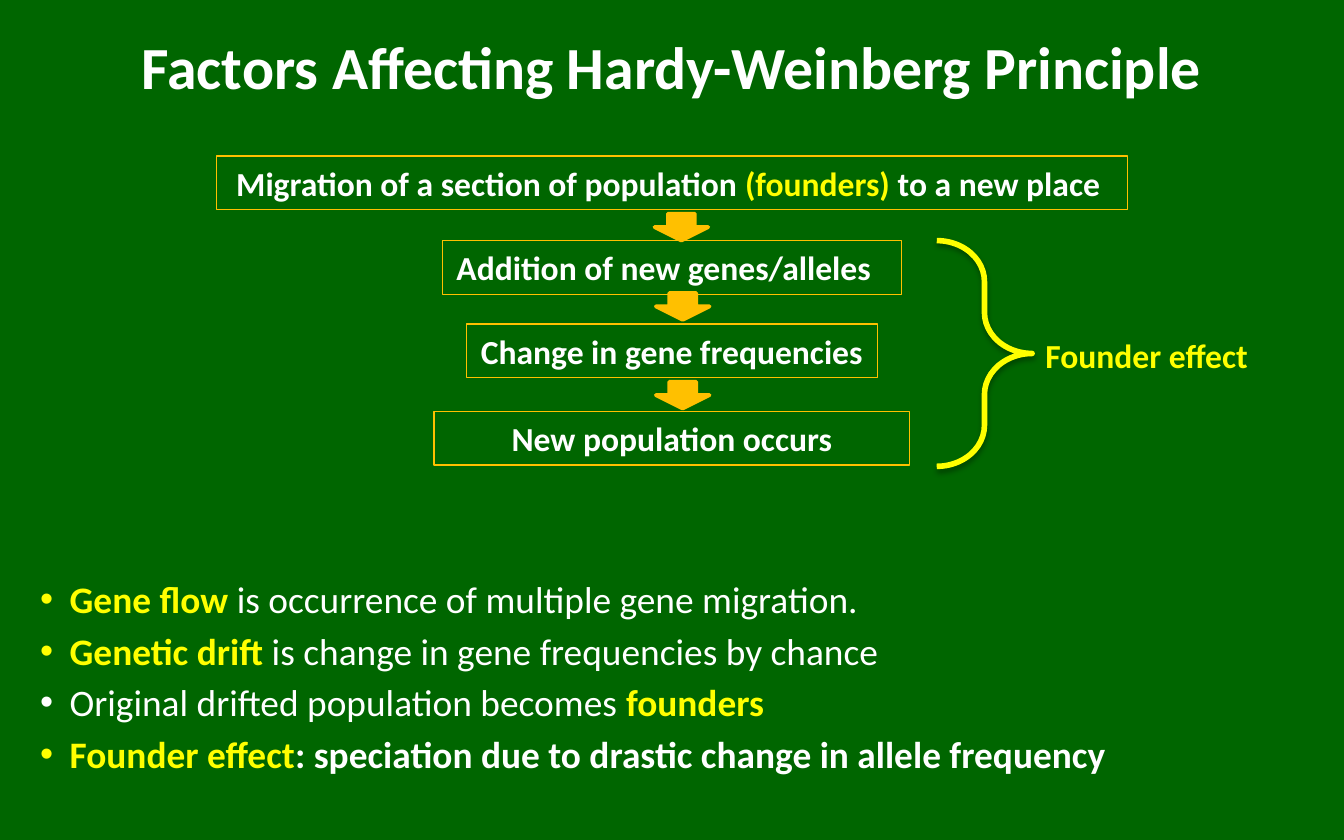
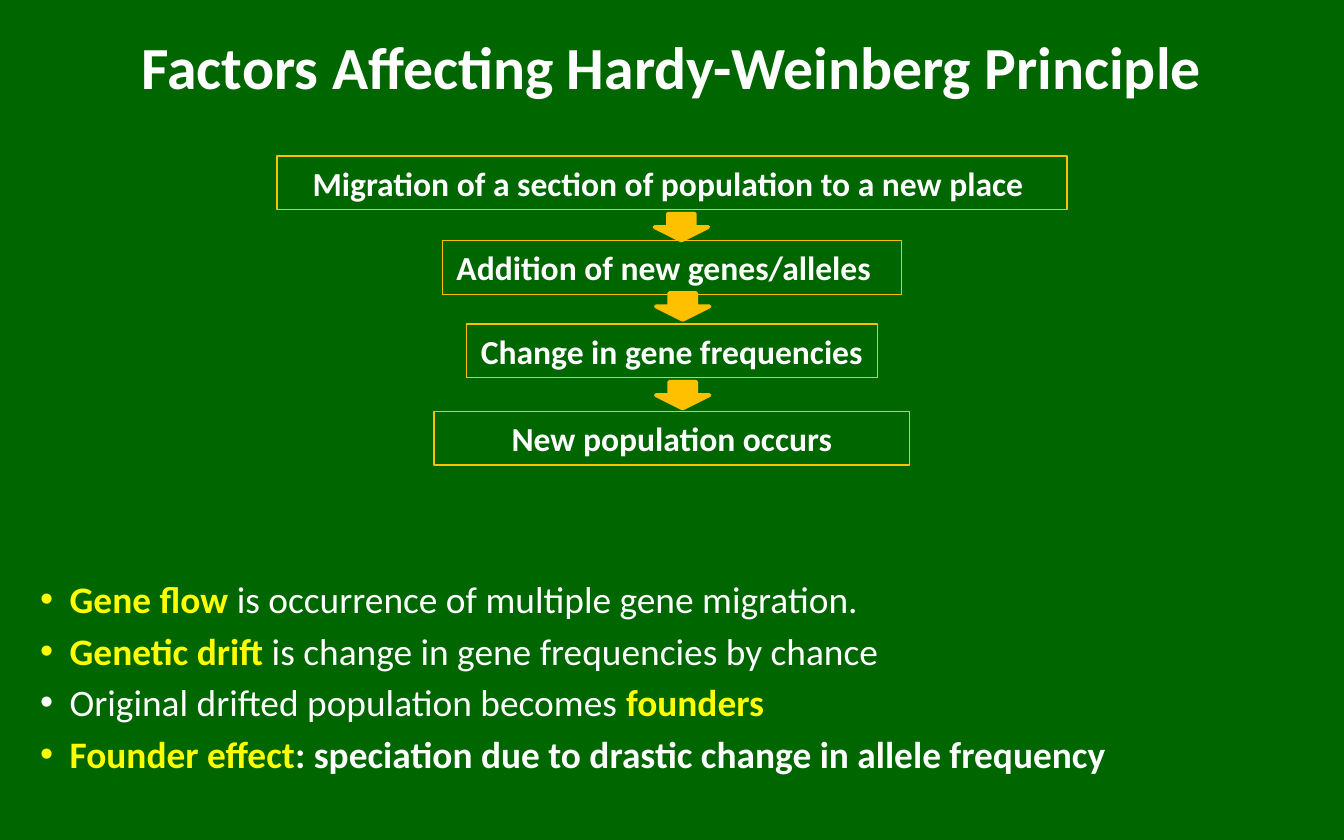
from lxml.etree import SubElement
from pptx import Presentation
from pptx.dml.color import RGBColor
from pptx.enum.shapes import MSO_SHAPE
from pptx.enum.text import MSO_ANCHOR, PP_ALIGN
from pptx.oxml import parse_xml
from pptx.oxml.ns import nsdecls, qn
from pptx.util import Emu, Pt

PX = 9144
WIDTH, HEIGHT = 1000, 625
FONT = "Calibri"
GREEN, WHITE, YELLOW, AMBER = "006600", "FFFFFF", "FFFF00", "FFC000"
BOX_H = 40
ARROW_W, ARROW_H = 40, 20

TITLE = "Factors Affecting Hardy-Weinberg Principle"
MIGRATION_WITH_FOUNDERS = [
    ("Migration of a section of population ", WHITE, True),
    ("(founders)", YELLOW, True),
    (" to a new place ", WHITE, True),
]
MIGRATION = [("Migration of a section of population to a new place ", WHITE, True)]
STEPS = [
    ("Addition of new genes/alleles", 179, 342, 22),
    ("Change in gene frequencies", 241, 306, 10),
    ("New population occurs", 306, 354, 10),
]
ARROWS = [(487, 159), (488, 218), (488, 284)]
BULLETS = [
    [("Gene flow ", YELLOW, True),
     ("is occurrence of multiple gene migration.", WHITE, False)],
    [("Genetic drift", YELLOW, True),
     (" is change in gene frequencies by chance", WHITE, False)],
    [("Original drifted population becomes ", WHITE, False),
     ("founders", YELLOW, True)],
    [("Founder effect", YELLOW, True),
     (": speciation due to drastic change in allele frequency", WHITE, True)],
]


def px(n):
    return Emu(n * PX)


def rgb(value):
    return RGBColor.from_string(value)


class Deck:
    def __init__(self):
        self.prs = Presentation()
        self.prs.slide_width, self.prs.slide_height = px(WIDTH), px(HEIGHT)
        fill = self.prs.slide_master.background.fill
        fill.solid()
        fill.fore_color.rgb = rgb(GREEN)
        self.s = None

    def add_slide(self, title):
        self.s = self.prs.slides.add_slide(self.prs.slide_layouts[5])
        sp = self.s.shapes.title
        sp.left, sp.top, sp.width, sp.height = px(0), px(29), px(WIDTH), px(40)
        sp.text_frame.vertical_anchor = MSO_ANCHOR.MIDDLE
        p = sp.text_frame.paragraphs[0]
        p.alignment = PP_ALIGN.CENTER
        self.add_runs(p, [(title, WHITE, True)], 32)

    def add_runs(self, p, runs, size):
        for text, color, bold in runs:
            r = p.add_run()
            r.text = text
            r.font.name, r.font.size, r.font.bold = FONT, Pt(size), bold
            r.font.color.rgb = rgb(color)

    def shape(self, kind, x, y, w, h, line, weight, fill=None):
        sp = self.s.shapes.add_shape(kind, px(x), px(y), px(w), px(h))
        sp.shadow.inherit = False
        if fill:
            sp.fill.solid()
            sp.fill.fore_color.rgb = rgb(fill)
        else:
            sp.fill.background()
        sp.line.color.rgb = rgb(line)
        sp.line.width = Pt(weight)
        return sp

    def box(self, runs, y, w, margin_right=10):
        sp = self.shape(MSO_SHAPE.RECTANGLE, (WIDTH - w) // 2, y, w, BOX_H, AMBER, 0.75)
        tf = sp.text_frame
        tf.word_wrap = False
        tf.margin_right = px(margin_right)
        p = tf.paragraphs[0]
        p.alignment = PP_ALIGN.CENTER
        self.add_runs(p, runs, 18)

    def arrow(self, x, y):
        self.shape(MSO_SHAPE.DOWN_ARROW, x, y, ARROW_W, ARROW_H, AMBER, 2, AMBER)

    def brace(self, x, y, w, h):
        sp = self.shape(MSO_SHAPE.RIGHT_BRACE, x, y, w, h, YELLOW, 3)
        sp.adjustments[0] = 0.43
        sp.adjustments[1] = 0.5
        effects = sp._element.spPr.find(qn("a:effectLst"))
        effects.append(parse_xml(
            f'<a:outerShdw {nsdecls("a")} blurRad="{Pt(3.1)}" dist="{Pt(1.8)}" '
            'dir="5400000" rotWithShape="0"><a:srgbClr val="000000">'
            '<a:alpha val="35000"/></a:srgbClr></a:outerShdw>'))

    def text(self, x, y, w, h):
        tf = self.s.shapes.add_textbox(px(x), px(y), px(w), px(h)).text_frame
        tf.word_wrap = True
        return tf

    def label(self, runs, x, y, w, h):
        self.add_runs(self.text(x, y, w, h).paragraphs[0], runs, 18)

    def bullets(self, items, x, y, w, h):
        tf = self.text(x, y, w, h)
        for i, runs in enumerate(items):
            p = tf.add_paragraph() if i else tf.paragraphs[0]
            pPr = p._p.get_or_add_pPr()
            pPr.set("marL", str(px(38)))
            pPr.set("indent", str(px(-22)))
            SubElement(pPr, qn("a:buFont")).set("typeface", "Arial")
            SubElement(pPr, qn("a:buChar")).set("char", "•")
            p.alignment = PP_ALIGN.JUSTIFY
            p.space_before = Pt(3.6 if i else 0)
            self.add_runs(p, runs, 20)

    def flow_slide(self, first_runs, first_width):
        self.add_slide(TITLE)
        self.bullets(BULLETS, 4, 424, WIDTH, 156)
        self.box(first_runs, 116, first_width)
        for text, y, w, margin_right in STEPS:
            self.box([(text, WHITE, True)], y, w, margin_right)
        for x, y in ARROWS:
            self.arrow(x, y)


def main():
    deck = Deck()
    deck.flow_slide(MIGRATION_WITH_FOUNDERS, 678)
    deck.brace(697, 179, 71, 168)
    deck.label([("Founder effect", YELLOW, True)], 768, 244, 201, BOX_H)
    deck.flow_slide(MIGRATION, 588)
    deck.prs.save("out.pptx")


if __name__ == "__main__":
    main()
